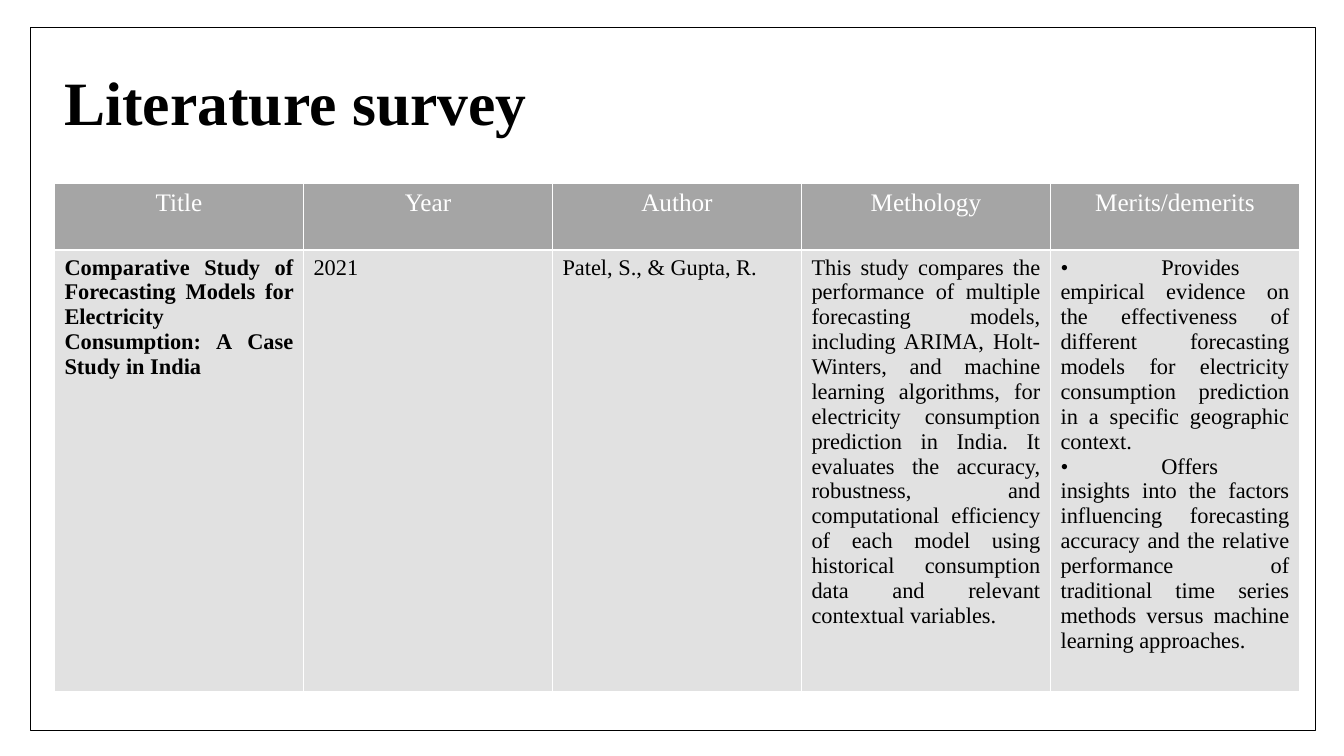
from lxml.etree import SubElement
from pptx import Presentation
from pptx.dml.color import RGBColor
from pptx.enum.shapes import MSO_SHAPE as SHAPE
from pptx.enum.text import MSO_ANCHOR as ANCHOR, PP_ALIGN as ALIGN
from pptx.oxml.ns import qn
from pptx.util import Inches, Pt

BLACK = RGBColor(0x00, 0x00, 0x00)
WHITE = RGBColor(0xFF, 0xFF, 0xFF)
HEADER_GREY = RGBColor(0xA5, 0xA5, 0xA5)
BODY_GREY = RGBColor(0xE1, 0xE1, 0xE1)

HEADERS = ["Title", "Year", "Author", "Methology", "Merits/demerits"]
STUDY = [
    "Comparative Study of Forecasting Models for Electricity Consumption: "
    "A Case Study in India",
    "2021",
    "Patel, S., & Gupta, R.",
    "This study compares the performance of multiple forecasting models, "
    "including ARIMA, Holt-Winters, and machine learning algorithms, for "
    "electricity consumption prediction in India. It evaluates the accuracy, "
    "robustness, and computational efficiency of each model using historical "
    "consumption data and relevant contextual variables.",
    "•\tProvides empirical evidence on the effectiveness of different "
    "forecasting models for electricity consumption prediction in a specific "
    "geographic context. \n"
    "•\tOffers insights into the factors influencing forecasting accuracy and "
    "the relative performance of traditional time series methods versus "
    "machine learning approaches.",
]


class SlideBuilder:
    """Draws styled elements on one slide."""

    font = "Times New Roman"

    def __init__(self, slide):
        self.s = slide

    def style(self, p, size, color, bold=False, align=ALIGN.LEFT):
        p.alignment = align
        p.font.name = self.font
        p.font.size = Pt(size)
        p.font.bold = bold
        p.font.color.rgb = color

    def title(self, text, left, top, width, height):
        tb = self.s.shapes.add_textbox(
            Inches(left), Inches(top), Inches(width), Inches(height))
        tf = tb.text_frame
        tf.word_wrap = True
        tf.vertical_anchor = ANCHOR.MIDDLE
        p = tf.paragraphs[0]
        p.text = text
        p.line_spacing = 0.9
        self.style(p, 44, BLACK, bold=True)

    def borders(self, cell, color, width):
        tc_pr = cell._tc.get_or_add_tcPr()
        for side in ("lnL", "lnR", "lnT", "lnB"):
            ln = SubElement(tc_pr, qn(f"a:{side}"), w=str(Pt(width)))
            fill = SubElement(ln, qn("a:solidFill"))
            SubElement(fill, qn("a:srgbClr"), val=str(color))

    def tab_stop(self, p, position):
        tabs = SubElement(p._p.get_or_add_pPr(), qn("a:tabLst"))
        SubElement(tabs, qn("a:tab"), pos=str(Inches(position)), algn="l")

    def cell(self, cell, text, fill, size, color, bold, align):
        cell.text = text
        self.borders(cell, WHITE, 1)
        cell.fill.solid()
        cell.fill.fore_color.rgb = fill
        for p in cell.text_frame.paragraphs:
            if "\t" in p.text:
                self.tab_stop(p, 1)
            self.style(p, size, color, bold, align)

    def table(self, headers, body, left, top, width, row_heights):
        table = self.s.shapes.add_table(
            len(row_heights), len(headers), Inches(left), Inches(top),
            Inches(width), Inches(sum(row_heights))).table
        for row, height in zip(table.rows, row_heights):
            row.height = Inches(height)
        for col, (header, text) in enumerate(zip(headers, body)):
            table.columns[col].width = Inches(width / len(headers))
            self.cell(table.cell(0, col), header, HEADER_GREY, 18, WHITE,
                      False, ALIGN.CENTER)
            self.cell(table.cell(1, col), text, BODY_GREY, 16, BLACK,
                      col == 0, ALIGN.JUSTIFY)

    def frame(self, left, top, width, height):
        sp = self.s.shapes.add_shape(
            SHAPE.RECTANGLE, Inches(left), Inches(top), Inches(width),
            Inches(height))
        sp.shadow.inherit = False
        sp.fill.background()
        sp.line.color.rgb = BLACK
        sp.line.width = Pt(1)


def main():
    prs = Presentation()
    prs.slide_width, prs.slide_height = Inches(13.33), Inches(7.5)
    b = SlideBuilder(prs.slides.add_slide(prs.slide_layouts[6]))
    b.title("Literature survey", 0.54, 0.4, 12.35, 1.29)
    b.table(HEADERS, STUDY, 0.54, 1.82, 12.35, [0.66, 4.38])
    b.frame(0.3, 0.27, 12.75, 6.98)
    prs.save("out.pptx")


if __name__ == "__main__":
    main()
